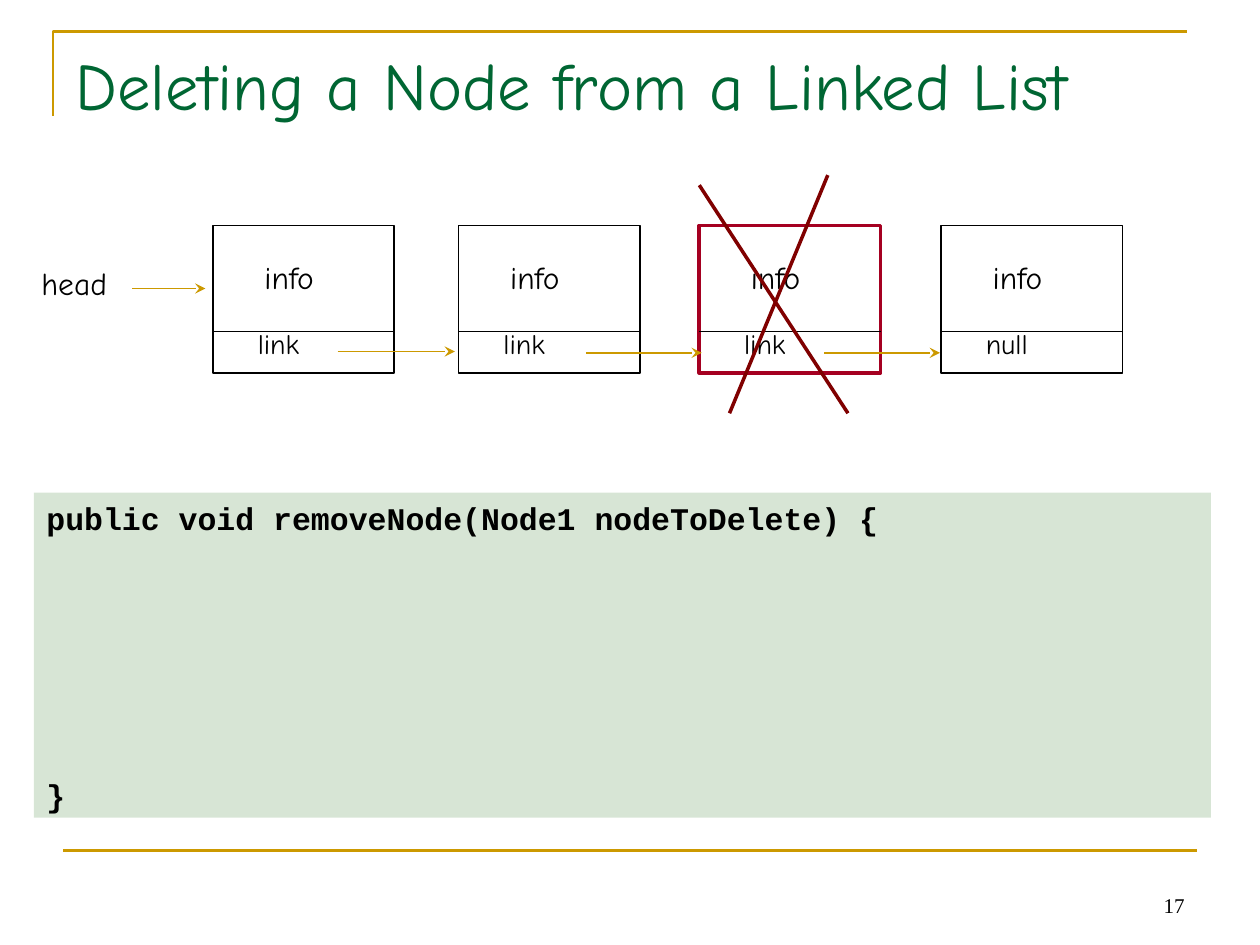
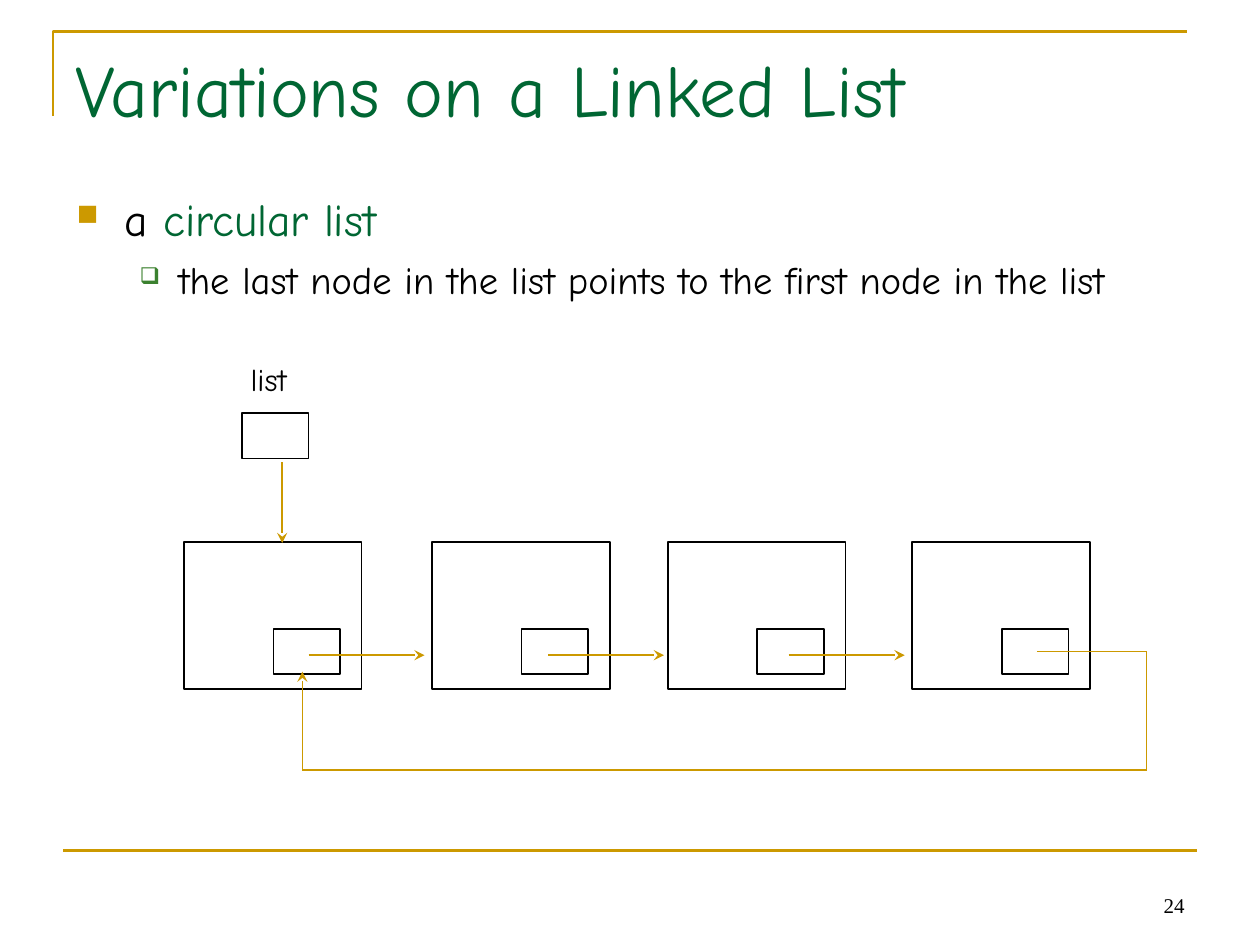
from lxml.etree import SubElement
from pptx import Presentation
from pptx.dml.color import RGBColor
from pptx.enum.shapes import MSO_CONNECTOR, MSO_SHAPE
from pptx.enum.text import MSO_ANCHOR, PP_ALIGN
from pptx.oxml.ns import qn
from pptx.util import Inches, Pt

COLORS = {"gold": "CC9900", "title": "006633", "ink": "000000",
          "crimson": "A50021", "cross": "800000", "leaf": "3B812F"}
HAND, CODE, SERIF = "Comic Neue", "Courier New", "Times New Roman"
WIDTH, HEIGHT = 10, 7.5

# Deleting a node: (left edge, pointer text, outline colour, outline width)
NODES = [(1.69, "link", "ink", 1), (3.64, "link", "ink", 1),
         (5.55, "link", "crimson", 2), (7.47, "null", "ink", 1)]
NODE_W, NODE_H, NODE_TOP, INFO_H = 1.44, 1.17, 1.79, 0.84
POINTERS = [(1.05, 1.63, 2.29), (2.68, 3.61, 2.79),
            (4.65, 5.57, 2.8), (6.54, 7.46, 2.8)]
CROSS = [((5.55, 1.47), (6.73, 3.28)), ((5.79, 3.28), (6.57, 1.39))]
CODE_LINES = ["public void removeNode(Node1 nodeToDelete) {", "}"]
BODY_GAP = 137  # points left free between the braces

# Circular list
BULLETS = [
    dict(runs=[("a ", "ink"), ("circular list", "title")], size=26,
         margin=0.38, hang=0.38, char="■", color="gold", share=65),
    dict(runs=[("the last node in the list points to the first node in the list", "ink")],
         size=22, margin=0.81, hang=0.31, before=5.5, char="❑", color="leaf", share=60),
]
RING_LEFTS = [1.46, 3.43, 5.3, 7.24]
RING_W, RING_H, RING_TOP = 1.41, 1.17, 4.3
CELL_W, CELL_H, CELL_DX, CELL_DY = 0.53, 0.36, 0.71, 0.69
RING_STARTS, RING_REACH, RING_Y = [2.45, 4.35, 6.26], 0.92, 5.2
RETURN_PATH = [(8.23, 5.17), (9.1, 5.17), (9.1, 6.11), (2.4, 6.11), (2.4, 5.33)]


def rgb(name):
    return RGBColor.from_string(COLORS[name])


def style_line(sp, color, width):
    sp.line.color.rgb = rgb(color)
    sp.line.width = Pt(width)


def line(s, start, end, color="gold", width=1, arrow=False):
    c = s.shapes.add_connector(MSO_CONNECTOR.STRAIGHT, *map(Inches, start + end))
    style_line(c, color, width)
    if arrow:
        SubElement(c.line._get_or_add_ln(), qn("a:tailEnd"), type="stealth")
    SubElement(c._element.spPr, qn("a:effectLst"))


def box(shapes, x, y, w, h, color="ink", width=1):
    sp = shapes.add_shape(MSO_SHAPE.RECTANGLE, *map(Inches, (x, y, w, h)))
    sp.shadow.inherit = False
    sp.fill.background()
    style_line(sp, color, width)
    return sp


def add_bullet(p, char, color, share):
    pPr = p._p.get_or_add_pPr()
    SubElement(SubElement(pPr, qn("a:buClr")), qn("a:srgbClr"), val=COLORS[color])
    SubElement(pPr, qn("a:buSzPct"), val=str(share * 1000))
    SubElement(pPr, qn("a:buChar"), char=char)


def write(p, runs, size=18, font=HAND, bold=False, align=PP_ALIGN.LEFT,
          before=0, margin=0, hang=0):
    """Fill a paragraph with (text, colour) runs in one format."""
    p.alignment = align
    if before:
        p.space_before = Pt(before)
    if hang:
        pPr = p._p.get_or_add_pPr()
        pPr.set("marL", str(Inches(margin)))
        pPr.set("indent", str(-Inches(hang)))
    for words, color in runs:
        r = p.add_run()
        r.text = words
        r.font.name, r.font.size, r.font.bold = font, Pt(size), bold
        r.font.color.rgb = rgb(color)


def text(s, words, x, y, w, h, color="ink", wrap=True, anchor=MSO_ANCHOR.TOP, **fmt):
    tf = s.shapes.add_textbox(*map(Inches, (x, y, w, h))).text_frame
    tf.word_wrap, tf.vertical_anchor = wrap, anchor
    write(tf.paragraphs[0], [(words, color)], **fmt)
    return tf


def new_slide(prs, title, title_size, number):
    """Add a slide with the gold frame, title and page number."""
    s = prs.slides.add_slide(prs.slide_layouts[6])
    corner = s.shapes.build_freeform(Inches(0.42), Inches(0.92))
    corner.add_line_segments([(Inches(0.42), Inches(0.25)),
                              (Inches(9.42), Inches(0.25))], close=False)
    sp = corner.convert_to_shape()
    sp.shadow.inherit = False
    sp.fill.background()
    style_line(sp, "gold", 1.5)
    line(s, (0.5, 0.9 * HEIGHT), (WIDTH - 0.5, 0.9 * HEIGHT), width=1.5)
    text(s, str(number), 7.17, 6.83, 2.33, 0.5, size=12, font=SERIF,
         align=PP_ALIGN.RIGHT, anchor=MSO_ANCHOR.BOTTOM)
    text(s, title, 0.5, 0.3, 9.23, 1.25, color="title", size=title_size)
    return s


def code_panel(s):
    sp = box(s.shapes, 0.27, 3.91, 9.34, 2.58)
    sp.line.fill.background()
    sp.fill.solid()
    sp.fill.fore_color.rgb = rgb("leaf")
    tint = sp._element.spPr.find(qn("a:solidFill"))[0]
    SubElement(tint, qn("a:alpha"), val="20000")
    tf = sp.text_frame
    tf.word_wrap, tf.vertical_anchor = True, MSO_ANCHOR.TOP
    for i, code in enumerate(CODE_LINES):
        p = tf.add_paragraph() if i else tf.paragraphs[0]
        write(p, [(code, "ink")], font=CODE, bold=True, margin=0.38, hang=0.38,
              before=BODY_GAP * i)


def deleting_slide(prs):
    s = new_slide(prs, "Deleting a Node from a Linked List", 38, 17)
    text(s, "head", 0.23, 2.05, 0.72, 0.4, wrap=False)
    for x, pointer, color, width in NODES:
        box(s.shapes, x, NODE_TOP, NODE_W, NODE_H, color, width)
        divider = NODE_TOP + INFO_H
        line(s, (x, divider), (x + NODE_W, divider), "ink")
        text(s, "info", x + 0.31, 2, 0.59, 0.4, wrap=False, align=PP_ALIGN.CENTER)
        text(s, pointer, x + 0.18, 2.54, 0.68, 0.37, size=16, align=PP_ALIGN.CENTER)
    for x1, x2, y in POINTERS:
        line(s, (x1, y), (x2, y), arrow=True)
    for start, end in CROSS:
        line(s, start, end, "cross", 2)
    code_panel(s)


def circular_slide(prs):
    s = new_slide(prs, "Variations on a Linked List", 42, 24)
    tf = s.shapes.add_textbox(*map(Inches, (0.51, 1.47, 9, 1.2))).text_frame
    tf.word_wrap = True
    for i, item in enumerate(BULLETS):
        p = tf.add_paragraph() if i else tf.paragraphs[0]
        p.level = i
        add_bullet(p, item["char"], item["color"], item["share"])
        write(p, item["runs"], size=item["size"], margin=item["margin"],
              hang=item["hang"], before=item.get("before", 0))
    for x in RING_LEFTS:
        node = s.shapes.add_group_shape().shapes
        box(node, x, RING_TOP, RING_W, RING_H)
        box(node, x + CELL_DX, RING_TOP + CELL_DY, CELL_W, CELL_H)
    for x in RING_STARTS:
        line(s, (x, RING_Y), (x + RING_REACH, RING_Y), arrow=True)
    for start, end in zip(RETURN_PATH, RETURN_PATH[1:]):
        line(s, start, end, arrow=end == RETURN_PATH[-1])
    box(s.shapes, 1.92, 3.28, CELL_W, CELL_H)
    text(s, "list", 1.89, 2.81, 0.49, 0.4, wrap=False)
    line(s, (2.24, 3.67), (2.24, 4.31), arrow=True)


def main():
    prs = Presentation()
    prs.slide_width, prs.slide_height = Inches(WIDTH), Inches(HEIGHT)
    deleting_slide(prs)
    circular_slide(prs)
    prs.save("out.pptx")


if __name__ == "__main__":
    main()
